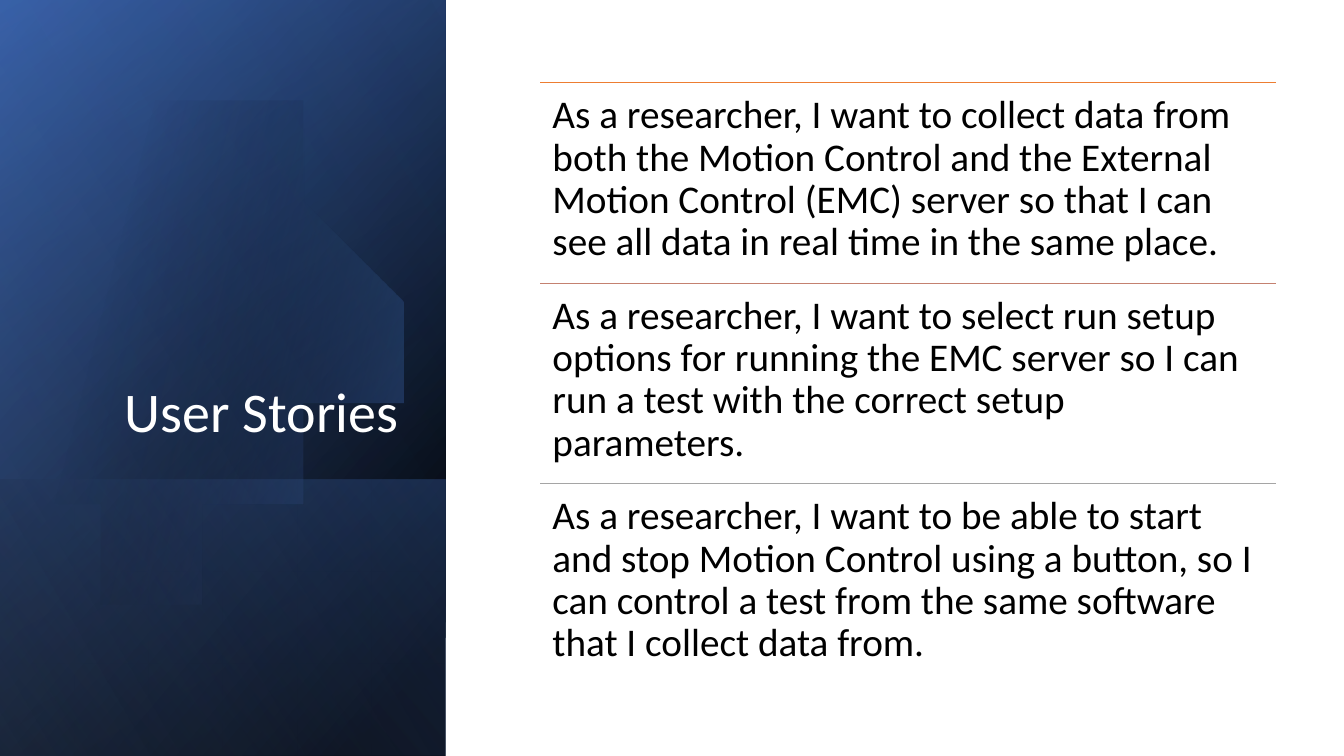
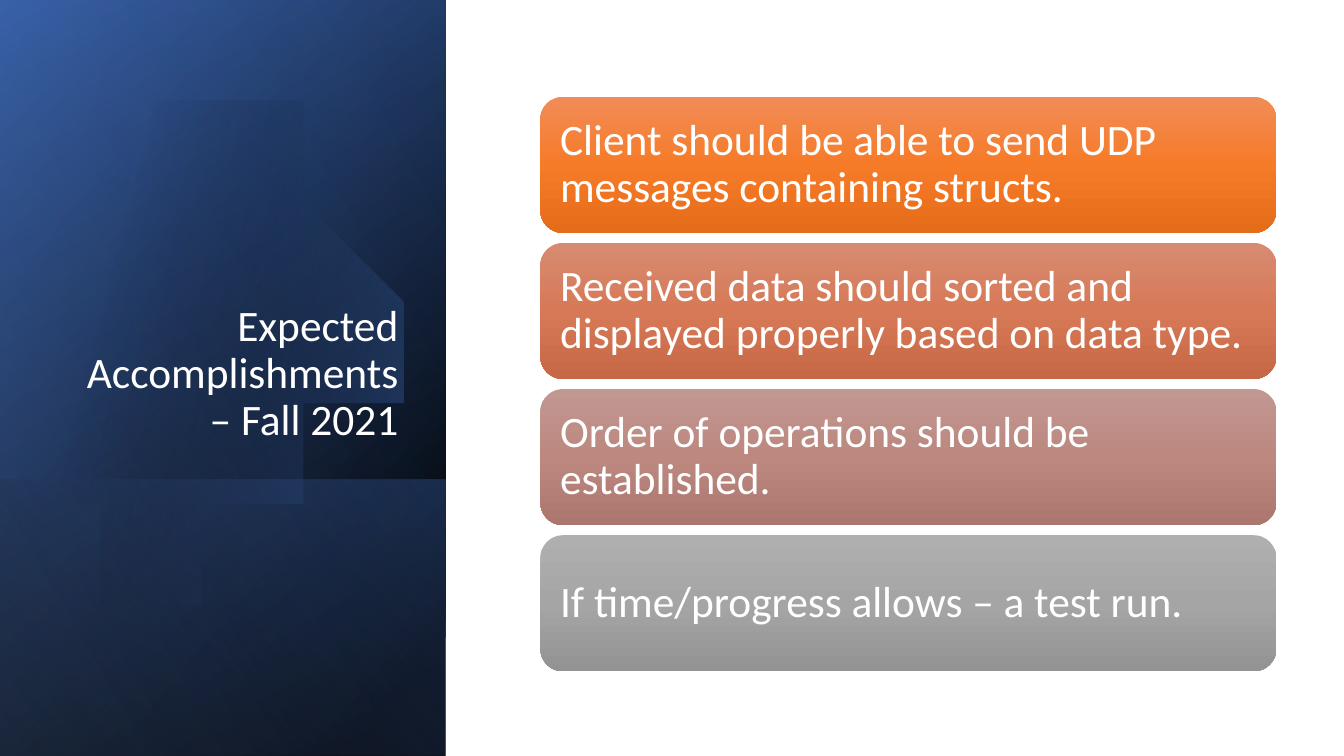
from pptx import Presentation
from pptx.dml.color import RGBColor
from pptx.enum.shapes import MSO_CONNECTOR, MSO_SHAPE
from pptx.enum.text import MSO_ANCHOR, MSO_AUTO_SIZE, PP_ALIGN
from pptx.oxml import parse_xml
from pptx.oxml.ns import nsdecls, qn
from pptx.util import Inches, Pt

FONT = "Calibri"
COLORS = {
    "black": "000000", "white": "FFFFFF", "navy": "2F5597",
    "blue": "4472C4", "light_blue": "8FAADC",
    "orange": "ED7D31", "clay": "C48170", "gray": "A5A5A5",
}
BLACK, BLUE = COLORS["black"], COLORS["blue"]

# Panel layers are drawn sideways and turned: box, gradient stops
# (position %, colour, opacity %) and gradient angle.
FULL_PANEL = (-1.54, 1.54, 7.5, 4.42)
LOWER_PANEL = (0.84, 3.92, 2.74, 4.42)
LAYERS_BELOW_DISC = [
    (FULL_PANEL, [(8, BLACK, 100), (100, COLORS["navy"], 100)], 50),
    (FULL_PANEL, [(0, BLACK, 0), (99, BLUE, 46)], 30),
    (LOWER_PANEL, [(2, BLUE, 29), (100, BLACK, 30)], 130),
]
LAYERS_ABOVE_DISC = [
    (FULL_PANEL, [(0, BLACK, 0), (99, COLORS["light_blue"], 11)], 120),
]

# Disc outline: each curve is two control points and an end point.
DISC_START = (1.49, 1.1)
DISC_CURVES = [
    [(2.46, 1.12), (3.35, 1.77), (3.63, 2.75)],
    [(3.98, 3.97), (3.28, 5.23), (2.07, 5.58)],
    [(1.31, 5.8), (0.53, 5.61), (-0.03, 5.14)],
    [(-0.15, 5.03), (-0.15, 1.75), (0, 1.61)],
    [(0.23, 1.42), (0.5, 1.28), (0.8, 1.19)],
    [(1.03, 1.13), (1.26, 1.1), (1.49, 1.1)],
]
STRAIGHT_CURVE = 3
CURVE_STEPS = 24

CONTENT_LEFT, CONTENT_WIDTH = 5.36, 7.3


def fill_gradient(shape, stops, angle):
    """Give a shape a linear gradient, without outline or shadow."""
    shape.shadow.inherit = False
    shape.line.fill.background()
    shape.fill.background()
    stop_xml = "".join(
        f'<a:gs pos="{position * 1000}"><a:srgbClr val="{color}">'
        f'<a:alpha val="{opacity * 1000}"/></a:srgbClr></a:gs>'
        for position, color, opacity in stops)
    gradient = parse_xml(
        f'<a:gradFill {nsdecls("a")} rotWithShape="1"><a:gsLst>{stop_xml}</a:gsLst>'
        f'<a:lin ang="{angle * 60000}" scaled="0"/></a:gradFill>')
    properties = shape._element.spPr
    properties.replace(properties.find(qn("a:noFill")), gradient)


def add_panel_slide(title_text, title_size):
    """Add a slide with the blue side panel and its title."""
    slide = presentation.slides.add_slide(presentation.slide_layouts[5])
    shapes = slide.shapes

    disc_points = []
    start = DISC_START
    for number, (control_1, control_2, end) in enumerate(DISC_CURVES):
        if number == STRAIGHT_CURVE:
            disc_points += [control_1, control_2, end]
        else:
            for step in range(1, CURVE_STEPS + 1):
                t = step / CURVE_STEPS
                u = 1 - t
                disc_points.append(tuple(
                    u**3 * a + 3 * u * u * t * b + 3 * u * t * t * c + t**3 * d
                    for a, b, c, d in zip(start, control_1, control_2, end)))
        start = end

    for layers in (LAYERS_BELOW_DISC, LAYERS_ABOVE_DISC):
        for box, stops, angle in layers:
            layer = shapes.add_shape(MSO_SHAPE.RECTANGLE, *map(Inches, box))
            layer.rotation = 90
            layer._element.spPr.find(qn("a:xfrm")).set("flipH", "1")
            fill_gradient(layer, stops, angle)
        if layers is LAYERS_BELOW_DISC:
            builder = shapes.build_freeform(*DISC_START, scale=Inches(1))
            builder.add_line_segments(disc_points, close=True)
            fill_gradient(builder.convert_to_shape(),
                          [(29, BLACK, 0), (100, BLUE, 43)], 14)

    title = shapes.title
    shapes._spTree.append(title._element)  # bring in front of the panel
    title.left, title.top = Inches(0.64), Inches(1.84)
    title.width, title.height = Inches(3.41), Inches(2.62)
    frame = title.text_frame
    frame.text = title_text
    frame.word_wrap = True
    frame.auto_size = MSO_AUTO_SIZE.NONE
    frame.vertical_anchor = MSO_ANCHOR.BOTTOM
    paragraph = frame.paragraphs[0]
    paragraph.alignment = PP_ALIGN.RIGHT
    paragraph.line_spacing = 0.9
    paragraph.font.name, paragraph.font.size = FONT, Pt(title_size)
    paragraph.font.color.rgb = RGBColor.from_string(COLORS["white"])
    return slide


presentation = Presentation()
presentation.slide_width, presentation.slide_height = Inches(13.33), Inches(7.5)
text_blocks = []  # shape, text, size, colour, inset, anchor

# User stories: a rule above each story
stories = [
    ("orange", "As a researcher, I want to collect data from both the Motion Control "
     "and the External Motion Control (EMC) server so that I can see all data in "
     "real time in the same place."),
    ("clay", "As a researcher, I want to select run setup options for running the "
     "EMC server so I can run a test with the correct setup parameters."),
    ("gray", "As a researcher, I want to be able to start and stop Motion Control "
     "using a button, so I can control a test from the same software that I "
     "collect data from."),
]
STORY_TOP, STORY_HEIGHT = 0.82, 1.99
slide = add_panel_slide("User Stories", 40)
for row, (rule_color, story) in enumerate(stories):
    top = Inches(STORY_TOP + row * STORY_HEIGHT)
    rule = slide.shapes.add_connector(
        MSO_CONNECTOR.STRAIGHT, Inches(CONTENT_LEFT), top,
        Inches(CONTENT_LEFT + CONTENT_WIDTH), top)
    rule.line.color.rgb = RGBColor.from_string(COLORS[rule_color])
    rule.line.width = Pt(0.5)
    rule._element.spPr.append(parse_xml(f'<a:effectLst {nsdecls("a")}/>'))
    story_box = slide.shapes.add_textbox(
        Inches(CONTENT_LEFT), top, Inches(CONTENT_WIDTH), Inches(STORY_HEIGHT))
    text_blocks.append((story_box, story, 28, "black", 0.12, MSO_ANCHOR.TOP))

# Expected accomplishments: a stack of gradient cards
goals = [
    (("F18C57", "F67B28", "E56C19"),
     "Client should be able to send UDP messages containing structs."),
    (("D78B72", "D77956", "C66846"),
     "Received data should sorted and displayed properly based on data type."),
    (("C19791", "BC8880", "AA766E"), "Order of operations should be established."),
    (("AFAFAF", "A5A5A5", "939393"), "If time/progress allows – a test run."),
]
CARD_TOP, CARD_HEIGHT, CARD_GAP = 0.96, 1.35, 0.1
slide = add_panel_slide("Expected Accomplishments – Fall 2021", 31)
for row, (shades, goal) in enumerate(goals):
    card = slide.shapes.add_shape(
        MSO_SHAPE.ROUNDED_RECTANGLE, Inches(CONTENT_LEFT),
        Inches(CARD_TOP + row * (CARD_HEIGHT + CARD_GAP)),
        Inches(CONTENT_WIDTH), Inches(CARD_HEIGHT))
    fill_gradient(card, [(position, shade, 100)
                         for position, shade in zip((0, 50, 100), shades)], 90)
    # The preset's text area is already inset by its rounded corners.
    text_blocks.append((card, goal, 31, "white", 0.13, MSO_ANCHOR.MIDDLE))

for shape, text, size, color, inset, anchor in text_blocks:
    frame = shape.text_frame
    frame.text = text
    frame.word_wrap = True
    frame.vertical_anchor = anchor
    frame.margin_left = frame.margin_right = Inches(inset)
    frame.margin_top = frame.margin_bottom = Inches(inset)
    paragraph = frame.paragraphs[0]
    paragraph.alignment = PP_ALIGN.LEFT
    paragraph.line_spacing = 0.9
    paragraph.font.name, paragraph.font.size = FONT, Pt(size)
    paragraph.font.color.rgb = RGBColor.from_string(COLORS[color])

presentation.save("out.pptx")
